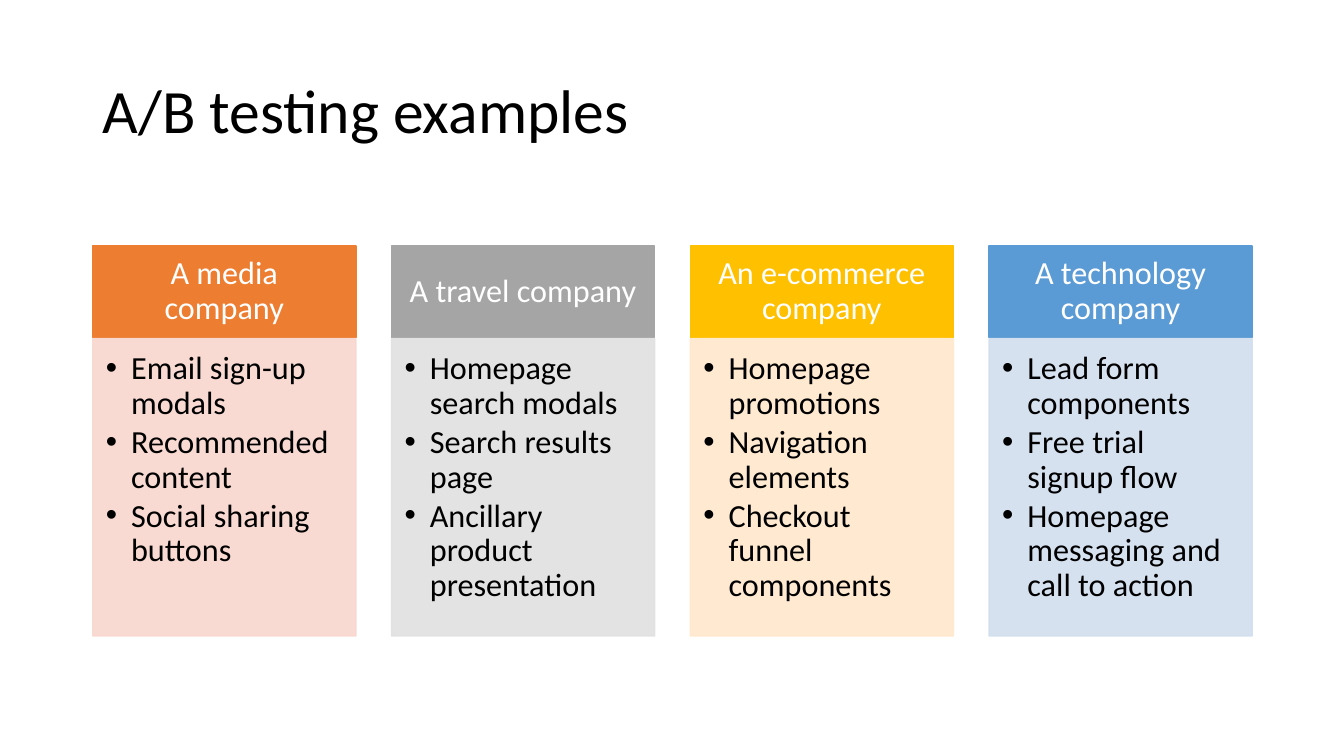
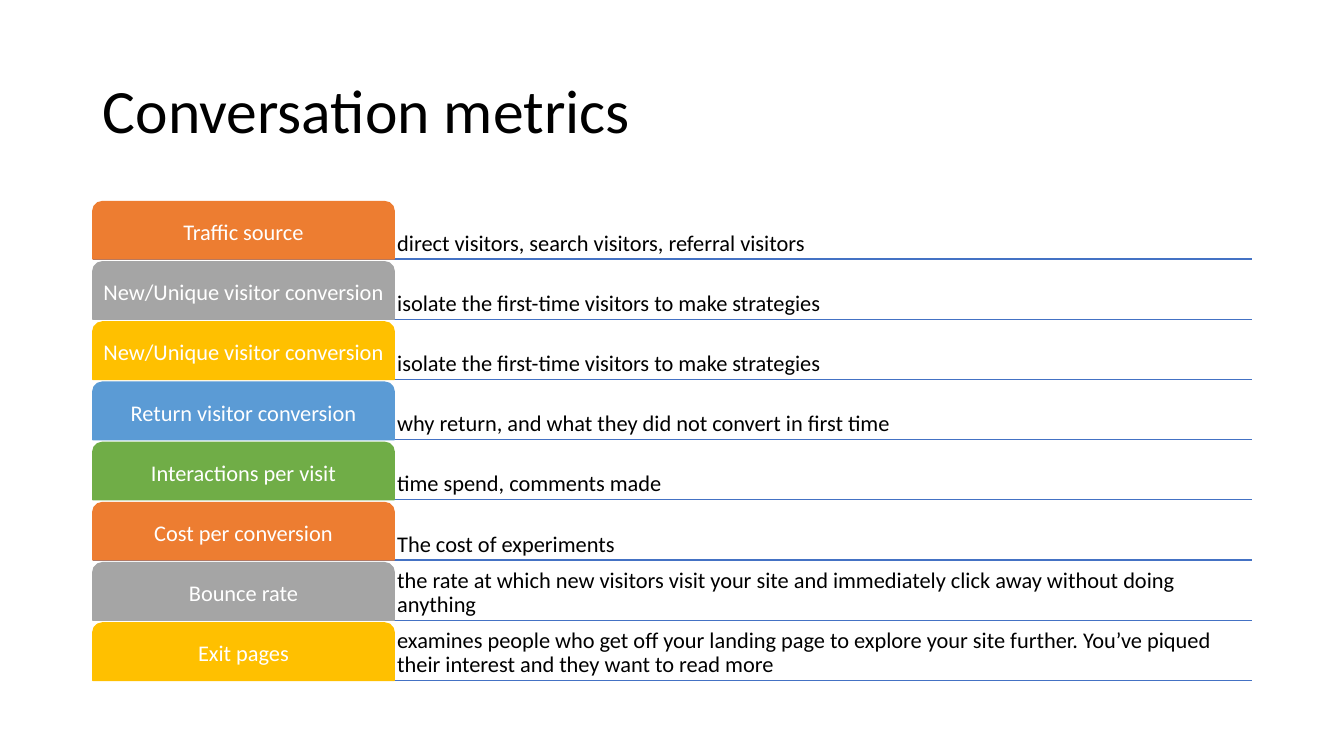
from lxml import etree
from pptx import Presentation
from pptx.dml.color import RGBColor
from pptx.enum.shapes import MSO_CONNECTOR, MSO_SHAPE
from pptx.enum.text import MSO_ANCHOR as Anchor, PP_ALIGN as Align
from pptx.oxml.ns import qn
from pptx.util import Inches, Pt

FONT = "Calibri"
COLORS = {
    "black": "000000", "white": "FFFFFF", "rule": "4472C4",
    "orange": "ED7D31", "gray": "A5A5A5", "gold": "FFC000",
    "blue": "5B9BD5", "green": "70AD47",
    "orange tint": "F8D7CE", "gray tint": "E1E1E1",
    "gold tint": "FFE8CC", "blue tint": "D2DEEF",
}
ACCENTS = ["orange", "gray", "gold", "blue", "green"]
LEFT, WIDTH = 0.92, 11.5

COMPANIES = [
    ("A media company",
     ["Email sign-up modals", "Recommended content", "Social sharing buttons"]),
    ("A travel company",
     ["Homepage search modals", "Search results page",
      "Ancillary product presentation"]),
    ("An e-commerce company",
     ["Homepage promotions", "Navigation elements",
      "Checkout funnel components"]),
    ("A technology company",
     ["Lead form components", "Free trial signup flow",
      "Homepage messaging and call to action"]),
]
METRICS = [
    ("Traffic source", "direct visitors, search visitors, referral visitors"),
    ("New/Unique visitor conversion",
     "isolate the first-time visitors to make strategies"),
    ("New/Unique visitor conversion",
     "isolate the first-time visitors to make strategies"),
    ("Return visitor conversion",
     "why return, and what they did not convert in first time"),
    ("Interactions per visit", "time spend, comments made"),
    ("Cost per conversion", "The cost of experiments"),
    ("Bounce rate",
     "the rate at which new visitors visit your site and immediately "
     "click away without doing anything"),
    ("Exit pages",
     "examines people who get off your landing page to explore your site "
     "further. You’ve piqued their interest and they want to read more"),
]


def rgb(name):
    return RGBColor.from_string(COLORS[name])


def write(shape, lines, size, color, align=Align.LEFT, anchor=Anchor.MIDDLE,
          insets=None):
    """Fill a shape with one styled paragraph per line."""
    frame = shape.text_frame
    frame.word_wrap = True
    frame.vertical_anchor = anchor
    if insets:
        (frame.margin_left, frame.margin_top,
         frame.margin_right, frame.margin_bottom) = map(Inches, insets)
    frame.text = "\n".join(lines)
    for paragraph in frame.paragraphs:
        paragraph.alignment = align
        paragraph.line_spacing = 0.9
        paragraph.font.name = FONT
        paragraph.font.size = Pt(size)
        paragraph.font.color.rgb = rgb(color)


def add_bullets(shape):
    for paragraph in shape.text_frame.paragraphs:
        paragraph.space_after = Pt(3)
        props = paragraph._p.get_or_add_pPr()
        props.set("marL", str(Inches(0.25)))
        props.set("indent", str(Inches(-0.25)))
        etree.SubElement(props, qn("a:buFont")).set("typeface", "Arial")
        etree.SubElement(props, qn("a:buChar")).set("char", "•")
        # Bullet marks come before the default run properties
        props.append(props.find(qn("a:defRPr")))


def add_block(slide, kind, box, color, opacity=100):
    """Add a preset shape whose fill and outline share one colour."""
    block = slide.shapes.add_shape(kind, *map(Inches, box))
    block.shadow.inherit = False
    block.fill.solid()
    block.fill.fore_color.rgb = rgb(color)
    block.line.color.rgb = rgb(color)
    block.line.width = Pt(1)
    if opacity < 100:
        for tone in block._element.spPr.iter(qn("a:srgbClr")):
            etree.SubElement(tone, qn("a:alpha")).set("val", str(opacity * 1000))
    return block


def add_rule(slide, y):
    rule = slide.shapes.add_connector(
        MSO_CONNECTOR.STRAIGHT, Inches(LEFT), Inches(y),
        Inches(LEFT + WIDTH), Inches(y))
    rule.line.color.rgb = rgb("rule")
    rule.line.width = Pt(1)
    etree.SubElement(rule._element.spPr, qn("a:effectLst"))


def add_titled_slide(prs, text):
    slide = prs.slides.add_slide(prs.slide_layouts[5])
    title = slide.shapes.title
    title.left, title.top = Inches(LEFT), Inches(0.4)
    title.width, title.height = Inches(WIDTH), Inches(1.45)
    write(title, [text], 44, "black")
    return slide


def add_company_card(slide, x, width, accent, company, examples):
    header = add_block(slide, MSO_SHAPE.RECTANGLE, (x, 2.44, width, 0.91), accent)
    write(header, [company], 23, "white", Align.CENTER,
          insets=(0.18, 0.1, 0.18, 0.1))
    body = add_block(slide, MSO_SHAPE.RECTANGLE, (x, 3.36, width, 2.95),
                     f"{accent} tint", opacity=90)
    write(body, examples, 23, "black", anchor=Anchor.TOP,
          insets=(0.13, 0.13, 0.18, 0.2))
    add_bullets(body)


def add_metric_row(slide, y, height, accent, metric, meaning):
    label_width = 2.99
    add_rule(slide, y + height)
    detail = slide.shapes.add_textbox(
        Inches(LEFT + label_width), Inches(y),
        Inches(WIDTH - label_width), Inches(height))
    write(detail, [meaning], 16, "black", anchor=Anchor.BOTTOM, insets=[0.03] * 4)
    label = add_block(slide, MSO_SHAPE.ROUND_2_SAME_RECTANGLE,
                      (LEFT, y, label_width, height), accent)
    write(label, [metric], 16, "white", Align.CENTER,
          insets=(0.05, 0.06, 0.05, 0.03))


def main():
    prs = Presentation()
    prs.slide_width, prs.slide_height = Inches(13.33), Inches(7.5)

    # Four company cards, spread evenly over the content width
    examples_slide = add_titled_slide(prs, "A/B testing examples")
    card_width = 2.61
    card_step = (WIDTH - card_width) / (len(COMPANIES) - 1)
    for i, (company, examples) in enumerate(COMPANIES):
        add_company_card(examples_slide, LEFT + i * card_step, card_width,
                         ACCENTS[i], company, examples)

    # Metric rows, cycling through the accents
    metrics_slide = add_titled_slide(prs, "Conversation metrics")
    row_height = 0.57
    row_step = (6.18 - 2) / (len(METRICS) - 1)
    for i, (metric, meaning) in enumerate(METRICS):
        add_metric_row(metrics_slide, 2 + i * row_step, row_height,
                       ACCENTS[i % len(ACCENTS)], metric, meaning)

    prs.save("out.pptx")


if __name__ == "__main__":
    main()
